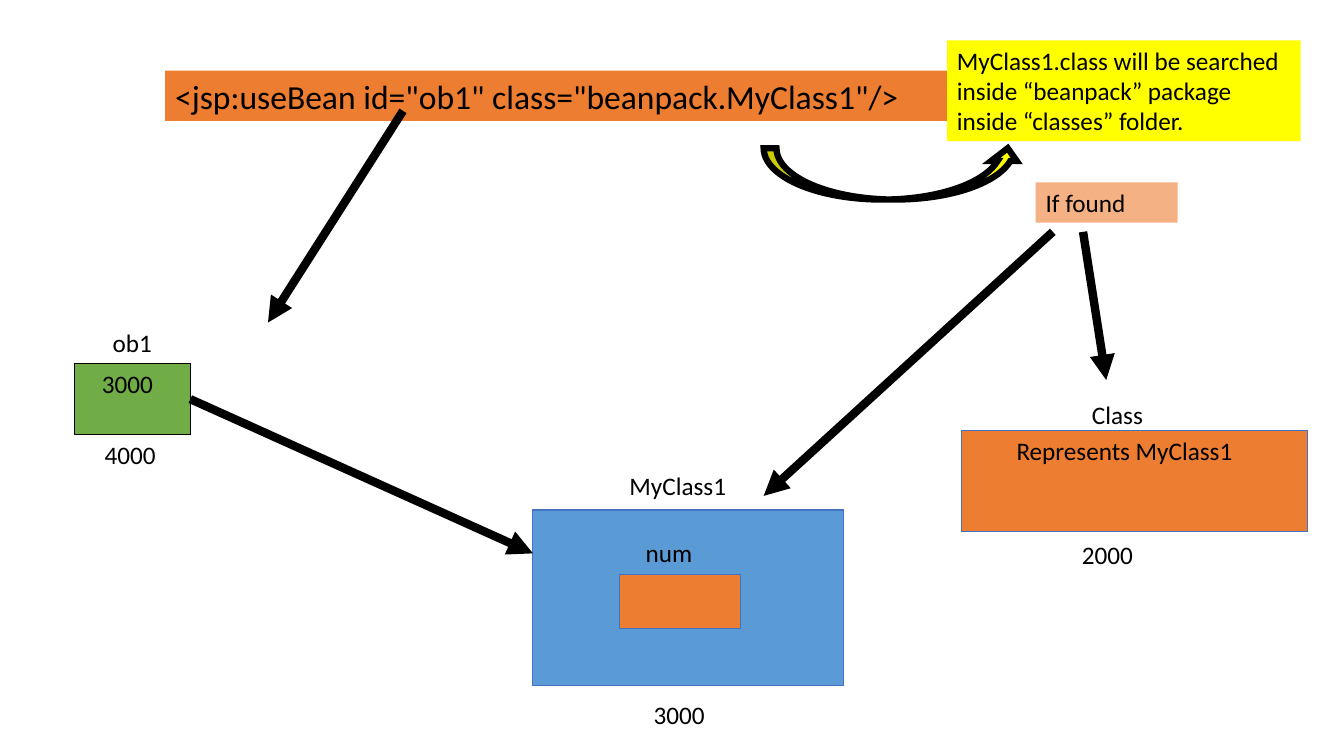
from lxml import etree
from pptx import Presentation
from pptx.dml.color import RGBColor
from pptx.enum.shapes import MSO_CONNECTOR, MSO_SHAPE
from pptx.enum.text import MSO_ANCHOR, PP_ALIGN
from pptx.oxml.ns import qn
from pptx.util import Inches, Pt

BLACK, BLUE_EDGE = "000000", "4472C4"
ORANGE, YELLOW = "ED7D31", "FFFF00"

# left, top, width, height, fill, edge, text, size, text indent
BOXES = [
    (1.64, 0.7, 7.76, 0.5, ORANGE, None,
     '<jsp:useBean id="ob1" class="beanpack.MyClass1"/>', 24, 0),
    (9.4, 0.4, 3.51, 1, YELLOW, None,
     "MyClass1.class will be searched inside “beanpack” package "
     "inside “classes” folder.", 18, 0),
    (10.28, 1.81, 1.41, 0.4, "F4B183", None, "If found", 18, 0),
    (9.54, 4.27, 3.44, 1, ORANGE, BLUE_EDGE, "Represents MyClass1", 18, 0.45),
    (5.29, 5.06, 3.08, 1.74, "5B9BD5", BLUE_EDGE, "", 18, 0),
    (0.74, 3.61, 1.15, 0.7, "70AD47", BLACK, "3000", 18, 0.17),
    (6.15, 5.7, 1.2, 0.54, ORANGE, BLUE_EDGE, "", 18, 0),
]
# left, top, width, text
LABELS = [
    (10.74, 3.91, 0.83, "Class"),
    (10.64, 5.3, 0.95, "2000"),
    (6.15, 4.62, 1.43, "MyClass1"),
    (6.39, 6.89, 0.95, "3000"),
    (1.02, 3.2, 0.7, "ob1"),
    (0.94, 4.31, 0.95, "4000"),
    (6.31, 5.28, 0.86, "num"),
]
LABEL_HEIGHT = 0.4
# start x, start y, end x, end y
ARROWS = [
    (10.75, 2.3, 10.98, 3.77),
    (10.45, 2.3, 7.58, 4.92),
    (4, 1.1, 2.66, 3.2),
    (1.89, 3.96, 5.29, 5.49),
]
SEARCH_ARROW = (7.58, 1.47, 2.55, 0.51)


def rgb(value):
    return RGBColor.from_string(value)


def inches(values):
    return [Inches(v) for v in values]


def set_line(line, color, width):
    line.color.rgb = rgb(color)
    line.width = Pt(width)


def write(sp, text, size=18, indent=0):
    tf = sp.text_frame
    frame_format = {
        "word_wrap": True, "vertical_anchor": MSO_ANCHOR.TOP,
        "margin_left": Inches(0.1 + indent), "margin_right": Inches(0.1),
        "margin_top": Inches(0.05), "margin_bottom": Inches(0.05),
    }
    for name, value in frame_format.items():
        setattr(tf, name, value)
    p = tf.paragraphs[0]
    p.alignment = PP_ALIGN.LEFT
    r = p.add_run()
    r.text = text
    for name, value in {"name": "Calibri", "size": Pt(size)}.items():
        setattr(r.font, name, value)
    r.font.color.rgb = rgb(BLACK)


def add_shape(s, kind, at, fill, edge, width=0.75):
    sp = s.shapes.add_shape(kind, *inches(at))
    sp.shadow.inherit = False
    sp.fill.solid()
    sp.fill.fore_color.rgb = rgb(fill)
    if edge:
        set_line(sp.line, edge, width)
        ln = sp.line._get_or_add_ln()
        etree.SubElement(ln, qn("a:miter"), lim="800000")
    else:
        sp.line.fill.background()
    return sp


def add_arrow(s, ends):
    c = s.shapes.add_connector(MSO_CONNECTOR.STRAIGHT, *inches(ends))
    set_line(c.line, BLACK, 6)
    etree.SubElement(c.line._get_or_add_ln(), qn("a:tailEnd"), type="triangle")
    etree.SubElement(c._element.spPr, qn("a:effectLst"))


def main():
    prs = Presentation()
    prs.slide_width, prs.slide_height = inches((13.34, 7.5))
    s = prs.slides.add_slide(prs.slide_layouts[6])

    for *at, fill, edge, text, size, indent in BOXES:
        sp = add_shape(s, MSO_SHAPE.RECTANGLE, at, fill, edge)
        if text:
            write(sp, text, size, indent)
    add_shape(s, MSO_SHAPE.CURVED_UP_ARROW, SEARCH_ARROW, YELLOW, BLACK, 4.5)
    for left, top, width, text in LABELS:
        write(s.shapes.add_textbox(*inches((left, top, width, LABEL_HEIGHT))), text)
    for ends in ARROWS:
        add_arrow(s, ends)

    prs.save("out.pptx")


if __name__ == "__main__":
    main()
